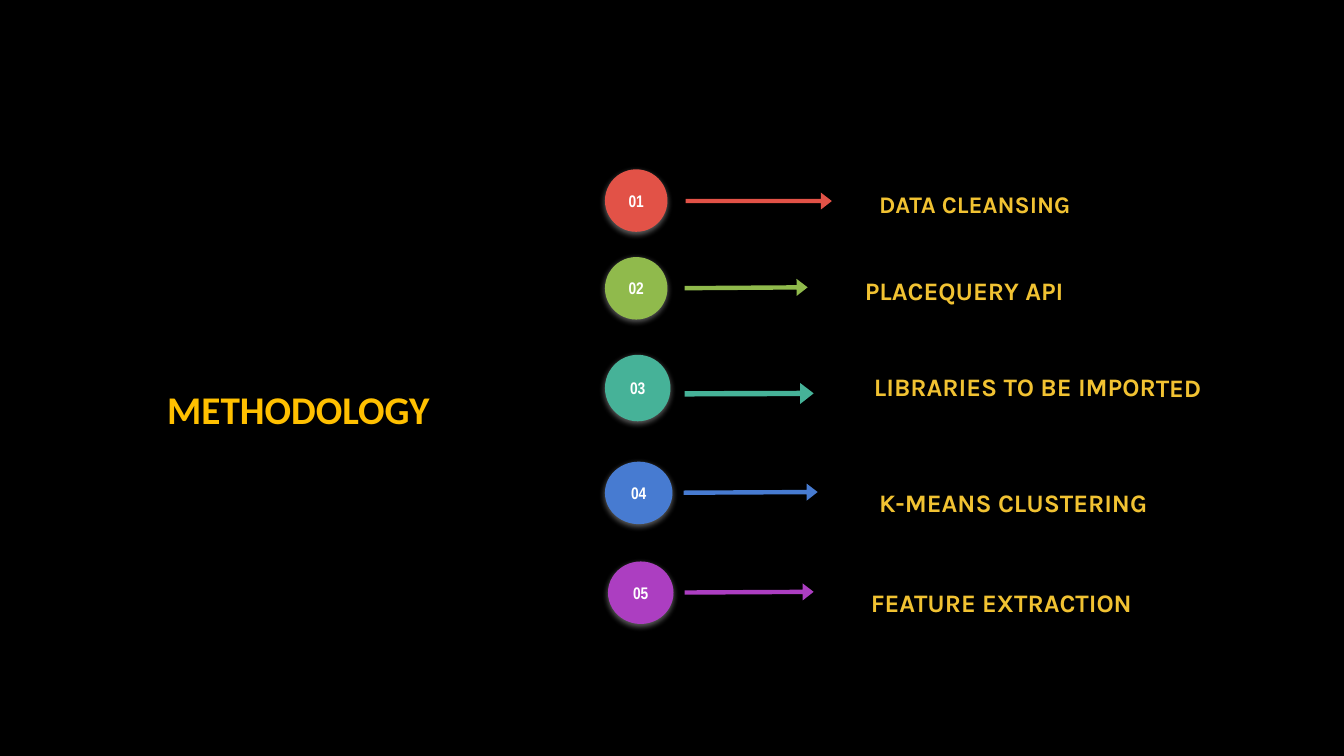
from lxml.etree import SubElement
from pptx import Presentation
from pptx.dml.color import RGBColor
from pptx.enum.shapes import MSO_SHAPE as Preset
from pptx.enum.text import MSO_ANCHOR as Anchor, PP_ALIGN as Align
from pptx.oxml.ns import qn
from pptx.util import Inches, Pt

COLOURS = {
    "background": "000000", "title": "FFC000", "label": "F1C232", "white": "FFFFFF",
    "red": "E25247", "green": "90BA4C", "teal": "46B298",
    "blue": "477BD1", "purple": "AC3EC1",
}

# colour, circle (left, top, width, height), arrow and its rotation,
# label box and its rotation, label size, label indent, label
STEPS = [
    ("red", (6, 1.68, 0.62, 0.62), (6.8, 1.91, 1.45, 0.17), 0,
     (8.62, 1.74, 2.28, 0.65), 0, 17, 0, "DATA CLEANSING"),
    ("green", (6, 2.55, 0.62, 0.62), (6.79, 2.77, 1.22, 0.17), 359.6,
     (8.48, 2.59, 3.62, 0.67), 0.2, 18, 0, "PLACEQUERY API"),
    ("teal", (6, 3.52, 0.65, 0.66), (6.79, 3.8, 1.28, 0.21), 359.8,
     (8.51, 3.54, 3.6, 0.76), 0.2, 18, 0.06, "LIBRARIES TO BE IMPORTED"),
    ("blue", (6, 4.58, 0.67, 0.62), (6.78, 4.8, 1.33, 0.17), 359.7,
     (8.62, 4.69, 3.61, 0.39), 0.1, 18, 0, "K-MEANS CLUSTERING"),
    ("purple", (6.03, 5.57, 0.65, 0.62), (6.79, 5.79, 1.28, 0.17), 359.7,
     (8.54, 5.68, 3.56, 0.39), 0.1, 18, 0, "FEATURE EXTRACTION"),
]


def colour(name):
    return RGBColor.from_string(COLOURS[name])


def inches(place):
    return [Inches(length) for length in place]


def write(shape, words, font, size, ink, anchor=Anchor.TOP, margin=0.1):
    """Put one bold run in the shape and return its paragraph."""
    frame = shape.text_frame
    frame.word_wrap = True
    frame.vertical_anchor = anchor
    frame.margin_left = frame.margin_right = Inches(0.1)
    frame.margin_top = frame.margin_bottom = Inches(margin)
    para = frame.paragraphs[0]
    span = para.add_run()
    span.text = words
    span.font.name = font
    span.font.size = Pt(size)
    span.font.bold = True
    span.font.color.rgb = colour(ink)
    return para


def add_filled(shapes, preset, place, fill):
    shape = shapes.add_shape(preset, *inches(place))
    shape.shadow.inherit = False
    shape.fill.solid()
    shape.fill.fore_color.rgb = colour(fill)
    shape.line.fill.background()
    return shape


def add_glow_below(shape):
    """Give the shape a soft white shadow that falls straight down."""
    effects = shape._element.spPr.find(qn("a:effectLst"))
    shadow = SubElement(effects, qn("a:outerShdw"), blurRad=str(Pt(4.5)),
                        dist=str(Pt(1.5)), dir="5400000", rotWithShape="0")
    tint = SubElement(shadow, qn("a:srgbClr"), val=COLOURS["white"])
    SubElement(tint, qn("a:alpha"), val="38000")


def add_circle(shapes, place, fill, number):
    circle = add_filled(shapes, Preset.OVAL, place, fill)
    add_glow_below(circle)
    para = write(circle, f"{number:02}", "Arial Narrow", 12, "white", Anchor.MIDDLE)
    para.alignment = Align.CENTER


def add_arrow(shapes, place, turn, fill):
    arrow = add_filled(shapes, Preset.RIGHT_ARROW, place, fill)
    arrow.adjustments[0] = 0.255
    arrow.adjustments[1] = 0.643
    arrow.rotation = turn


def add_label(shapes, place, turn, size, indent, words):
    box = shapes.add_textbox(*inches(place))
    box.rotation = turn
    para = write(box, words, "Karla", size, "label")
    para.line_spacing = 1.15
    if indent:
        para._p.get_or_add_pPr().set("marL", str(Inches(indent)))


def add_step(page, number, step):
    fill, circle, arrow, arrow_turn, label, label_turn, size, indent, words = step
    shapes = page.shapes.add_group_shape().shapes
    add_circle(shapes, circle, fill, number)
    add_label(shapes, label, label_turn, size, indent, words)
    add_arrow(shapes, arrow, arrow_turn, fill)


def add_title(page):
    box = page.shapes.add_textbox(*inches((1.56, 3.53, 2.92, 1.12)))
    para = write(box, "METHODOLOGY", "Calibri", 28, "title", Anchor.MIDDLE, 0.05)
    para.line_spacing = 0.9


def main():
    deck = Presentation()
    deck.slide_width, deck.slide_height = Inches(13.33), Inches(7.5)
    page = deck.slides.add_slide(deck.slide_layouts[6])
    page.background.fill.solid()
    page.background.fill.fore_color.rgb = colour("background")
    add_title(page)
    for number, step in enumerate(STEPS, 1):
        add_step(page, number, step)
    deck.save("out.pptx")


if __name__ == "__main__":
    main()
